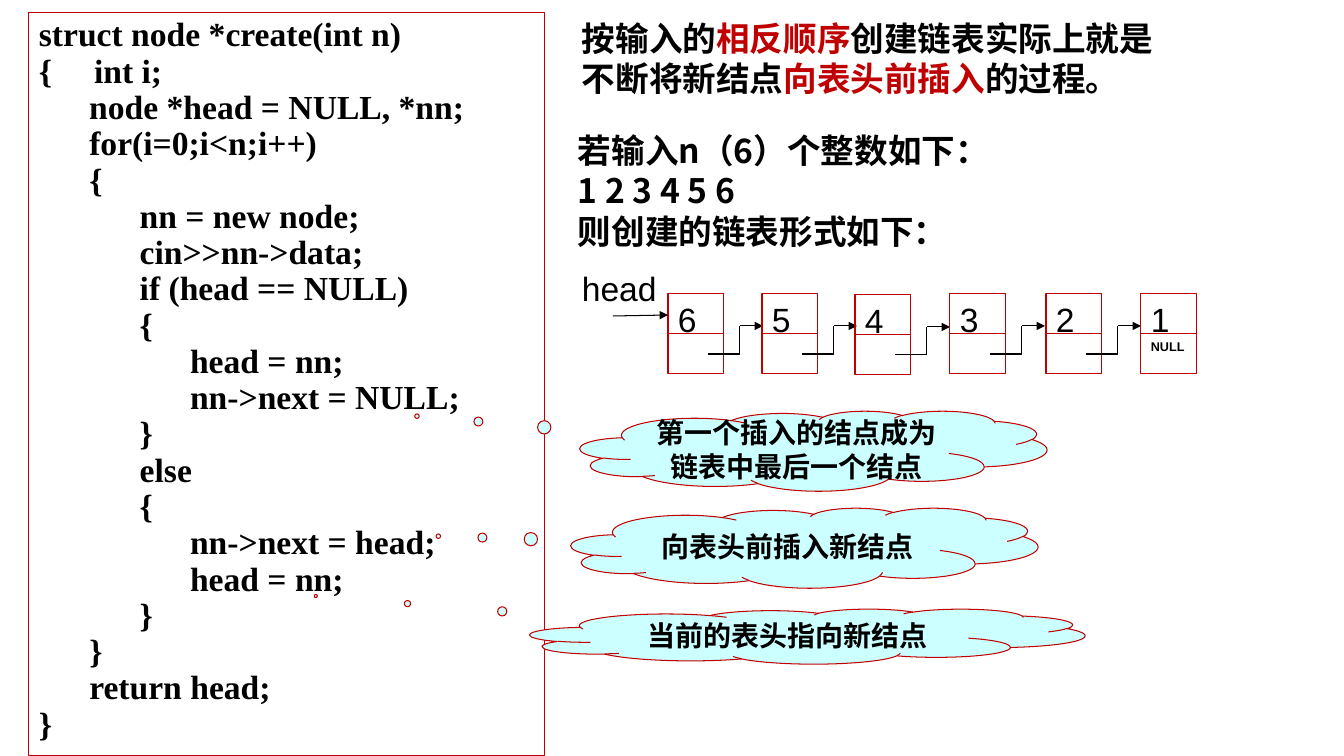
from pptx import Presentation
from pptx.dml.color import RGBColor
from pptx.enum import shapes, text
from pptx.oxml import ns
from pptx.util import Inches, Pt
from lxml import etree

PX = 9144000 / 1008
RED, BLACK, CYAN = "C00000", "000000", "CCFFFF"
ROMAN, SANS, CJK = "Times New Roman", "Arial", "Noto Sans CJK SC"

# Content: (indent level, code line)
CODE = [
    (0, "struct node *create(int n)"),
    (0, "{     int i;"),
    (0, "      node *head = NULL, *nn;"),
    (1, "for(i=0;i<n;i++)"),
    (1, "{"),
    (2, "nn = new node;"),
    (2, "cin>>nn->data;"),
    (2, "if (head == NULL)"),
    (2, "{"),
    (3, "head = nn;"),
    (3, "nn->next = NULL;"),
    (2, "}"),
    (2, "else"),
    (2, "{"),
    (3, "nn->next = head;"),
    (3, "head = nn;"),
    (2, "}"),
    (1, "}"),
    (1, "return head;"),
    (0, "}"),
]
SUMMARY = [("按输入的", BLACK), ("相反顺序", RED), ("创建链表实际上就是不断将新结点", BLACK),
           ("向表头前插入", RED), ("的过程。", BLACK)]
EXAMPLE = ["若输入n（6）个整数如下：", "1 2 3 4 5 6", "则创建的链表形式如下："]
# Value, left, top
NODES = [("6", 668, 294), ("5", 762, 294), ("4", 855, 295),
         ("3", 950, 294), ("2", 1046, 294), ("1", 1141, 294)]
# Words, box, pointer offset as shares of the cloud's size
CLOUDS = [
    ("向表头前插入新结点", (571, 508, 467, 80), (-0.784, -0.147)),
    ("第一个插入的结点成为链表中最后一个结点", (580, 411, 467, 80), (-0.849, -0.435)),
    ("当前的表头指向新结点", (530, 609, 555, 55), (-0.886, -0.735)),
]

deck = Presentation()
deck.slide_width, deck.slide_height = round(1344 * PX), round(756 * PX)
page = deck.slides.add_slide(deck.slide_layouts[6])


def px(*lengths):
    return [round(length * PX) for length in lengths]


def color(value):
    return RGBColor.from_string(value)


def write(box, lines, size=24, font=ROMAN, bold=True, center=False,
          spacing=None, grow=False):
    """Each line is (level, [(words, colour), ...])."""
    frame = box.text_frame
    frame.word_wrap = True
    if grow:
        frame.auto_size = text.MSO_AUTO_SIZE.SHAPE_TO_FIT_TEXT
    frame.vertical_anchor = text.MSO_ANCHOR.MIDDLE if center else text.MSO_ANCHOR.TOP
    for index, (level, spans) in enumerate(lines):
        para = frame.add_paragraph() if index else frame.paragraphs[0]
        para.alignment = text.PP_ALIGN.CENTER if center else text.PP_ALIGN.LEFT
        if spacing:
            para.line_spacing = spacing
        if level:
            para.level = level
            properties = para._p.get_or_add_pPr()
            properties.set("marL", str(Inches(level / 2)))
            properties.set("indent", "0")
        for words, tint in spans:
            span = para.add_run()
            span.text = words
            span.font.size, span.font.bold = Pt(size), bold
            span.font.name = font
            span.font.color.rgb = color(tint)
            east = etree.SubElement(span.font._element, ns.qn("a:ea"))
            east.set("typeface", CJK)


def add_shape(kind, area, fill=None):
    box = page.shapes.add_shape(kind, *px(*area))
    box.shadow.inherit = False
    if fill:
        box.fill.solid()
        box.fill.fore_color.rgb = color(fill)
    else:
        box.fill.background()
    box.line.color.rgb = color(RED)
    box.line.width = Pt(0.75)
    return box


def add_line(start, end, arrow=False):
    line = page.shapes.add_connector(shapes.MSO_CONNECTOR.STRAIGHT, *px(*start, *end))
    line.line.color.rgb = color(BLACK)
    line.line.width = Pt(0.75)
    if arrow:
        tip = etree.SubElement(line.line._get_or_add_ln(), ns.qn("a:tailEnd"))
        tip.set("type", "triangle")
    etree.SubElement(line._element.spPr, ns.qn("a:effectLst"))


def add_text(area, lines, **style):
    write(page.shapes.add_textbox(*px(*area)), lines, grow=True, **style)


RECT = shapes.MSO_SHAPE.RECTANGLE

# Code listing
listing = add_shape(RECT, (29, 13, 516, 743))
write(listing, [(level, [(line, BLACK)]) for level, line in CODE], spacing=0.9, grow=True)

# Example input
add_text((568, 125, 635, 132), [(0, [(line, BLACK)]) for line in EXAMPLE], font=CJK)

# Linked list: data cell, pointer cell and the stepped arrow to the next node
for value, left, top in NODES:
    data = add_shape(RECT, (left, top, 56, 40))
    write(data, [(0, [(value, BLACK)])], font=SANS, bold=False)
    pointer = add_shape(RECT, (left, top + 40, 56, 40))
    if value == NODES[-1][0]:
        write(pointer, [(0, [("NULL", BLACK)])], size=9, font=SANS)
    else:
        steps = [(left + 40, top + 60), (left + 72, top + 60),
                 (left + 72, top + 32), (left + 95, top + 32)]
        for start, end in zip(steps, steps[1:]):
            add_line(start, end, arrow=end == steps[-1])

# Head pointer
add_line((613, 316), (668, 315), arrow=True)
add_text((572, 263, 116, 50), [(0, [("head", BLACK)])], font=SANS, bold=False)

# Cloud callouts
for words, area, pointer_at in CLOUDS:
    cloud = add_shape(shapes.MSO_SHAPE.CLOUD_CALLOUT, area, CYAN)
    for index, offset in enumerate(pointer_at):
        cloud.adjustments[index] = offset
    write(cloud, [(0, [(words, BLACK)])], size=20, center=True)

# Summary
add_text((572, 13, 616, 92), [(0, SUMMARY)])

deck.save("out.pptx")
